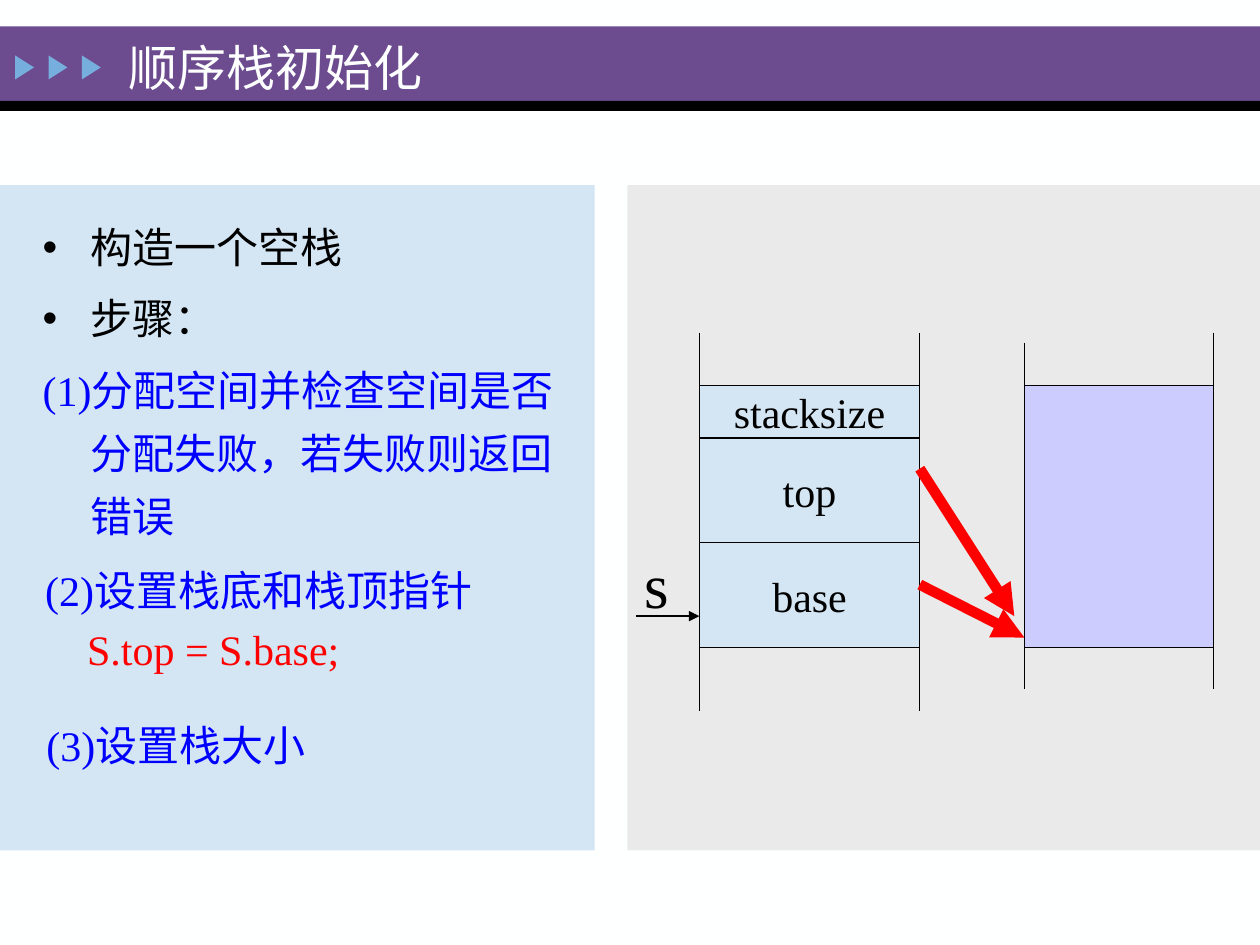
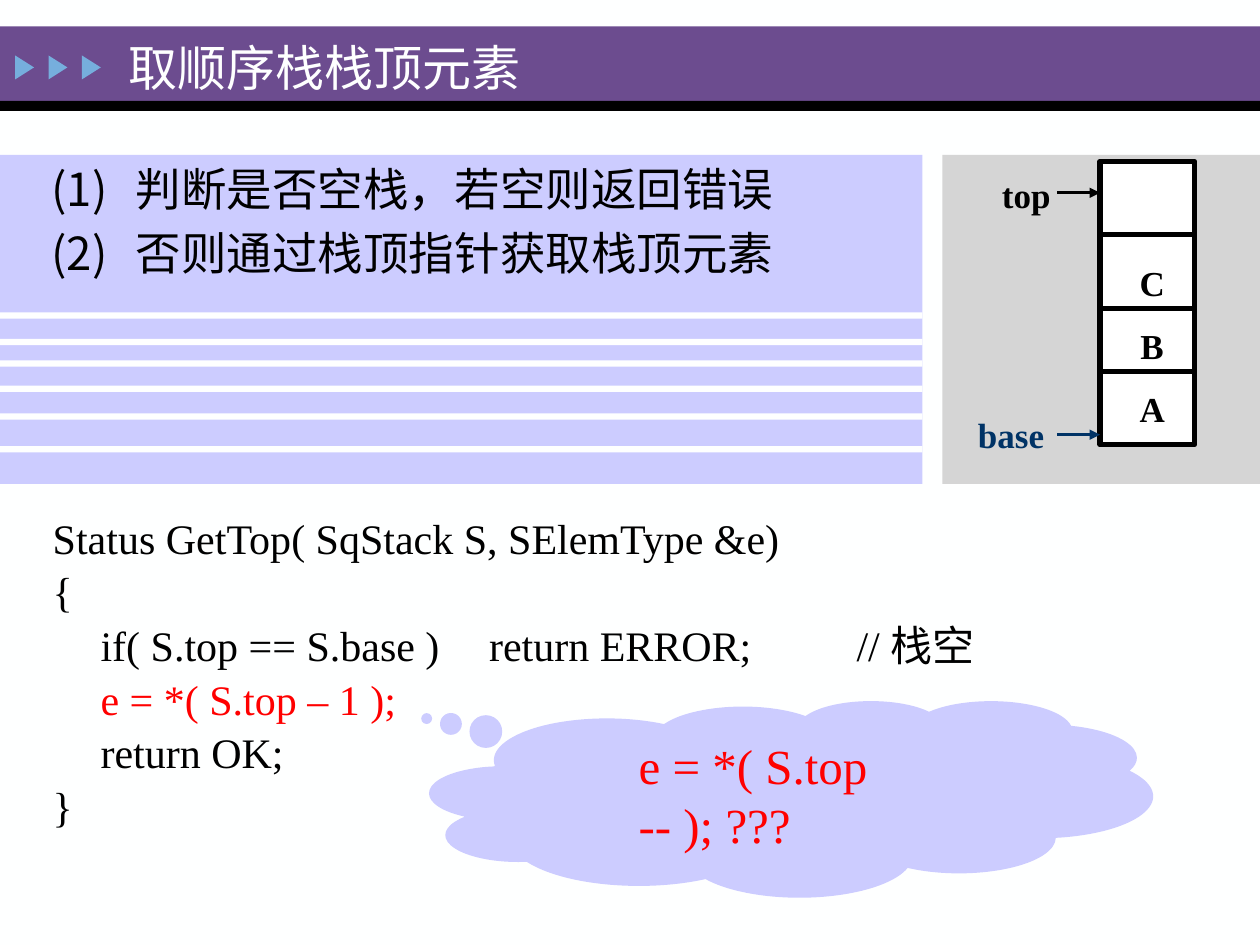
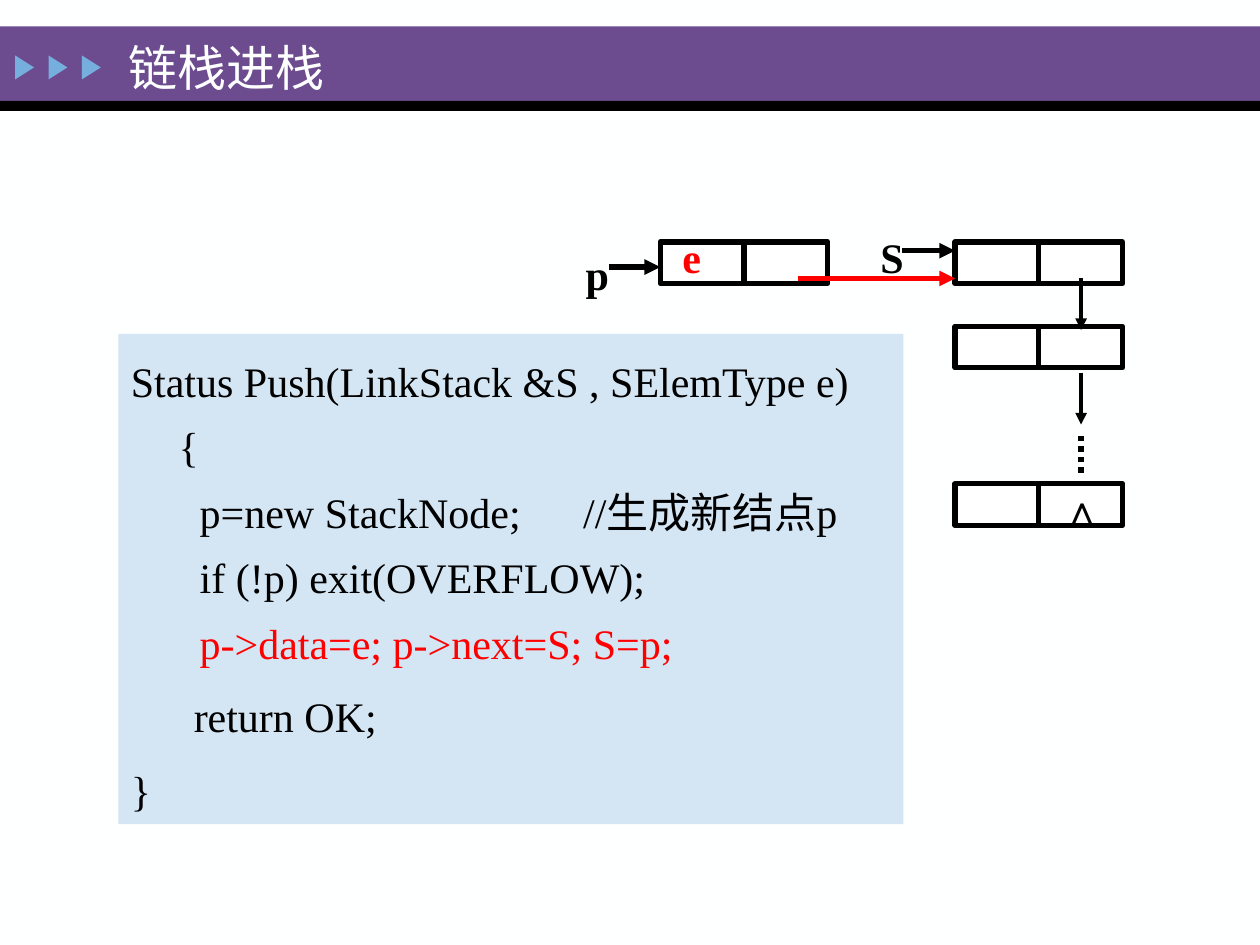
"""Build three slides on sequential and linked stacks."""
from pptx import Presentation
from pptx.dml.color import RGBColor
from pptx.enum.dml import MSO_LINE as Dash
from pptx.enum.shapes import MSO_CONNECTOR as Link, MSO_SHAPE as Form
from pptx.enum.text import MSO_ANCHOR as Anchor, PP_ALIGN as Align
from pptx.oxml.ns import qn
from pptx.util import Inches, Pt
from lxml.etree import SubElement

FONT = "Times New Roman"
PAPER = RGBColor(0xFE, 0xFF, 0xFF)
WHITE = RGBColor(0xFF, 0xFF, 0xFF)
BLACK = RGBColor(0, 0, 0)
PURPLE = RGBColor(0x6C, 0x4C, 0x8F)
SKY = RGBColor(0x76, 0xAE, 0xDD)
PALE = RGBColor(0xD4, 0xE6, 0xF4)
LILAC = RGBColor(0xCC, 0xCC, 0xFF)
MIST = RGBColor(0xEA, 0xEA, 0xEA)
GREY = RGBColor(0xD5, 0xD5, 0xD5)
BLUE = RGBColor(0, 0, 0xFF)
NAVY = RGBColor(0, 0x33, 0x66)
RED = RGBColor(0xFF, 0, 0)

WIDE, HIGH = 10, 7.5
HANG = 0.38

TITLES = ["顺序栈初始化", "取顺序栈栈顶元素", "链栈进栈"]
GOALS = [("构造一个空栈", BLACK, "•"), ("步骤：", BLACK, "•"),
         ("(1)分配空间并检查空间是否分配失败，若失败则返回错误", BLUE)]
POINT = [("(2)设置栈底和栈顶指针", BLUE), ("    S.top = S.base;", RED)]
SIZE = [("(3)设置栈大小", BLUE)]
FIELDS = [("stacksize", 1), ("top", 2), ("base", 2)]
CHECKS = [("判断是否空栈，若空则返回错误", BLACK, "(1)"),
          ("否则通过栈顶指针获取栈顶元素", BLACK, "(1)")]
GET = [("Status GetTop( SqStack S, SElemType &e)", BLACK), ("{", BLACK),
       ("\tif( S.top == S.base )\t return ERROR; \t// 栈空", BLACK),
       ("\te = *( S.top – 1 );", RED), ("\treturn OK;", BLACK), ("}", BLACK)]
DOUBT = [("e = *( S.top -- ); ???", RED)]
ITEMS = ["C", "B", "A"]
PUSH = [("Status Push(LinkStack &S , SElemType e)\v{\v  p=new StackNode;\t//生成新结点p\v"
         "  if (!p) exit(OVERFLOW);\v  p->data=e; p->next=S; S=p;", BLACK),
        ("      return OK;", BLACK), ("}", BLACK)]
HOT = "p->data=e; p->next=S; S=p;"
STRIPS = [2.48, 2.69, 2.86, 3.06, 3.28, 3.54]


def bullet(props, mark):
    """Add a dot or a running number to a paragraph."""
    if mark == "•":
        SubElement(props, qn("a:buFont")).set("typeface", "Arial")
        SubElement(props, qn("a:buChar")).set("char", mark)
    else:
        SubElement(props, qn("a:buFont")).set("typeface", "+mj-ea")
        SubElement(props, qn("a:buAutoNum")).set("type", "arabicParenBoth")


def write(shape, paras, size=24, left=0, hang=0, lines=None, gap=0.2, tab=1,
          bold=False, align=Align.LEFT, anchor=Anchor.TOP, wrap=True):
    """Fill a shape with paragraphs of (text, colour, optional mark)."""
    frame = shape.text_frame
    frame.text = "\n".join(para[0] for para in paras)
    frame.word_wrap, frame.vertical_anchor = wrap, anchor
    for at, (para, (_, tint, *mark)) in enumerate(zip(frame.paragraphs, paras)):
        props = para._p.get_or_add_pPr()
        props.set("marL", str(Inches(left)))
        props.set("indent", str(Inches(-hang)))
        props.set("defTabSz", str(Inches(tab)))
        if mark:
            bullet(props, mark[0])
        para.alignment = align
        if lines:
            para.line_spacing = lines
        if at:
            para.space_before = Pt(size * gap)
        for run in para.runs:
            font = run.font
            font.name, font.size, font.bold = FONT, Pt(size), bold
            font.color.rgb = RED if run.text.strip() == HOT else tint


def box(slide, x, y, w, h, fill, line=0, form=Form.RECTANGLE):
    """Draw a filled shape, outlined in black where a width is given."""
    shape = slide.shapes.add_shape(form, *map(Inches, (x, y, w, h)))
    shape.shadow.inherit = False
    shape.fill.solid()
    shape.fill.fore_color.rgb = fill
    if line:
        shape.line.color.rgb, shape.line.width = BLACK, Pt(line)
    else:
        shape.line.fill.background()
    return shape


def text(slide, x, y, w, h, paras, **style):
    """Place a text box."""
    write(slide.shapes.add_textbox(*map(Inches, (x, y, w, h))), paras, **style)


def label(slide, x, y, w, h, word, tint=BLACK, size=24):
    """Place a bold centred word."""
    text(slide, x, y, w, h, [(word, tint)], size=size, bold=True, align=Align.CENTER)


def line(slide, x, y, x2, y2, width, tint=BLACK, head=False):
    """Draw a straight line or an arrow."""
    link = slide.shapes.add_connector(Link.STRAIGHT, *map(Inches, (x, y, x2, y2)))
    link.line.color.rgb, link.line.width = tint, Pt(width)
    if head:
        SubElement(link.line._get_or_add_ln(), qn("a:tailEnd")).set("type", "triangle")
    SubElement(link._element.spPr, qn("a:effectLst"))
    return link


def brand(layout, slide):
    """Move the bands and the three marks into the layout."""
    parts = [box(slide, 0, 0.21, WIDE, 0.59, PURPLE), box(slide, 0, 0.8, WIDE, 0.08, BLACK)]
    for col in range(3):
        mark = box(slide, 0.1 + 0.265 * col, 0.46, 0.19, 0.15, SKY, form=Form.ISOSCELES_TRIANGLE)
        mark.rotation = 90
        parts.append(mark)
    for num, part in enumerate(parts, 100):
        part._element.nvSpPr.cNvPr.set("id", str(num))
        layout.shapes.element.append(part._element)


def head(slide, name):
    """Set the slide title on the band."""
    title = slide.shapes.title
    title.left, title.top, title.width, title.height = map(Inches, (0.92, 0.28, 7, 0.5))
    write(title, [(name, PAPER)], size=28, anchor=Anchor.MIDDLE)


def setup(slide):
    """Show how a sequential stack is set up."""
    top, tall = 1.47, 5.28
    box(slide, 0, top, 4.72, tall, PALE)
    box(slide, 4.98, top, 5.02, tall, MIST)
    hung = dict(left=HANG, hang=HANG)
    text(slide, 0.24, 1.61, 4.53, 2.66, GOALS, lines=1.25, **hung)
    text(slide, 0.26, 4.43, 5.12, 1.14, POINT, **hung)
    text(slide, 0.27, 5.66, 4.91, 0.57, SIZE, **hung)
    x, y, w, row = 5.55, 3.06, 1.75, 0.416
    right, foot = x + w, y + 5 * row
    mem, end = 8.13, 9.63
    for word, rows in FIELDS:
        cell = box(slide, x, y, w, rows * row, PALE, 0.75)
        write(cell, [(word, BLACK)], align=Align.CENTER, anchor=Anchor.MIDDLE, wrap=False)
        y += rows * row
    box(slide, mem, 3.06, end - mem, foot - 3.06, LILAC, 0.75)
    for side, start, stop in [(x, 2.64, 5.64), (right, 2.64, 5.64),
                              (mem, 2.72, 5.47), (end, 2.64, 5.47)]:
        line(slide, side, start, side, stop, 0.75)
    line(slide, x - 0.5, 4.89, x, 4.89, 0.75, head=True)
    text(slide, 5.02, 4.28, 0.4, 0.71, [("s", BLACK)], size=36, wrap=False)
    line(slide, right, 4.64, mem, 5.06, 6, RED, True)
    line(slide, right, 3.72, 8.05, 4.89, 6, RED, True)


def peek(slide):
    """Show how the top element is read."""
    top, tall, w = 1.23, 2.61, 7.32
    box(slide, 7.48, top, 2.52, tall, GREY)
    write(box(slide, 0, top, w, tall, LILAC), CHECKS, size=26, left=0.98, hang=0.67)
    for y in STRIPS:
        box(slide, 0, y, w, 0.05, PAPER)
    text(slide, 0.32, 4.06, 9.21, 2.69, GET, left=HANG, hang=HANG, lines=0.9)
    cloud = box(slide, 3.41, 5.56, 5.74, 1.56, LILAC, form=Form.CLOUD_CALLOUT)
    cloud.adjustments[0], cloud.adjustments[1] = -0.504, -0.408
    write(cloud, DOUBT, size=28, left=0.77, anchor=Anchor.MIDDLE)
    x, wide = 8.73, 0.75
    box(slide, x, 1.28, wide, 2.25, WHITE, 3)
    for y in (1.86, 2.45, 2.95):
        line(slide, x, y, x + wide, y, 3)
    for row, word in enumerate(ITEMS):
        label(slide, 8.81, 2.03 + 0.5 * row, 0.67, 0.43, word, size=20)
    for word, tint, left, y, tip in [("top", BLACK, 7.48, 1.33, 1.53),
                                     ("base", NAVY, 7.36, 3.23, 3.45)]:
        label(slide, left, y, 1.33, 0.43, word, tint, 20)
        line(slide, x - 0.34, tip, x, tip, 1.5, tint, True)


def node(slide, x, y):
    """Draw a list node split into two halves."""
    cell = box(slide, x, y, 1.33, 0.33, WHITE, 3)
    split = line(slide, x, y, x, y, 3)
    split.begin_connect(cell, 0)
    split.end_connect(cell, 2)


def push(slide):
    """Show how a node is pushed on a linked stack."""
    fresh, chain, top = 5.24, 7.58, 1.92
    node(slide, fresh, top)
    for y in (top, 2.59, 3.84):
        node(slide, chain, y)
    mid = chain + 1
    for y in (2.21, 2.96):
        line(slide, mid, y, mid, y + 0.41, 2.25, head=True)
    line(slide, mid, 3.46, mid, 3.79, 3).line.dash_style = Dash.ROUND_DOT
    line(slide, fresh - 0.41, 2.12, fresh, 2.12, 3, head=True)
    line(slide, chain - 0.42, 1.99, chain, 1.99, 3, head=True)
    line(slide, 6.33, 2.21, chain, 2.21, 3, RED, True)
    for word, x, y, tint in [("p", 4.49, top, BLACK), ("S", 6.83, 1.79, BLACK),
                             ("e", fresh, 1.79, RED), ("∧", 8.33, 3.79, BLACK)]:
        label(slide, x, y, 0.5, 0.5, word, tint)
    code = box(slide, 0.94, 2.65, 6.23, 3.89, PALE)
    write(code, PUSH, left=HANG, hang=HANG, lines=1.3, tab=3.21)


def main():
    """Build and save the deck."""
    deck = Presentation()
    deck.slide_width, deck.slide_height = Inches(WIDE), Inches(HIGH)
    back = deck.slide_master.background.fill
    back.solid()
    back.fore_color.rgb = PAPER
    layout = deck.slide_layouts[5]
    for num, (name, draw) in enumerate(zip(TITLES, (setup, peek, push))):
        slide = deck.slides.add_slide(layout)
        if num == 0:
            brand(layout, slide)
        head(slide, name)
        draw(slide)
    deck.save("out.pptx")


if __name__ == "__main__":
    main()
